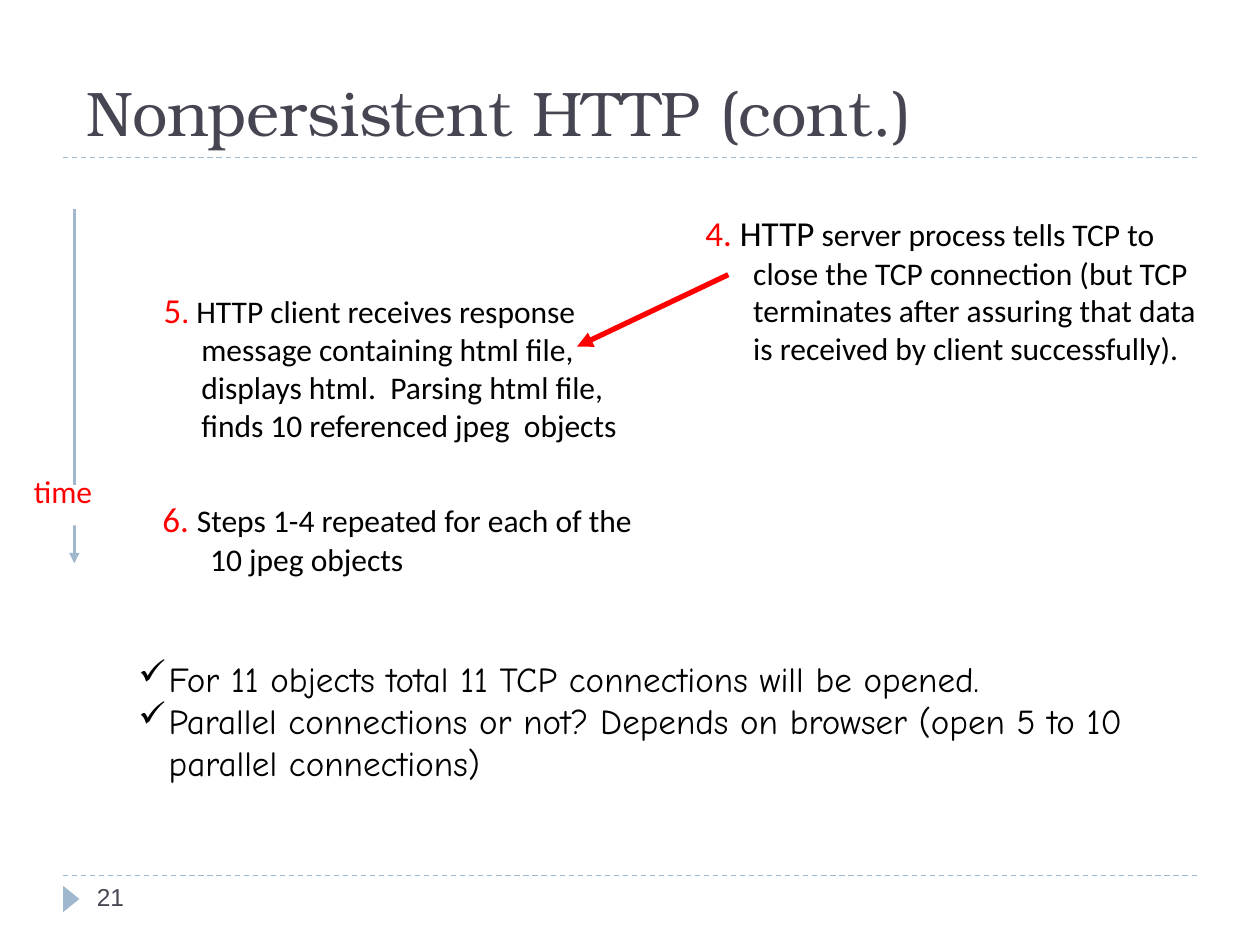
"""Build the slide on nonpersistent HTTP connections."""
from lxml import etree
from pptx import Presentation
from pptx import util as u
from pptx.dml.color import RGBColor
from pptx.enum import dml, shapes, text
from pptx.oxml import ns

PX = 9144
BLUE = RGBColor(0x9F, 0xB8, 0xCD)
SLATE = RGBColor(0x46, 0x46, 0x53)
RED = RGBColor(0xFF, 0, 0)
BLACK = RGBColor(0, 0, 0)
WHITE = RGBColor(0xFF, 0xFF, 0xFF)

deck = Presentation()
deck.slide_width, deck.slide_height = 1000 * PX, 750 * PX
slide = deck.slides.add_slide(deck.slide_layouts[5])


def add_line(ends, color, width, dashed=False, arrow=False):
    line = slide.shapes.add_connector(
        shapes.MSO_CONNECTOR.STRAIGHT, *[end * PX for end in ends])
    line.line.color.rgb = color
    line.line.width = u.Pt(width)
    if dashed:
        line.line.dash_style = dml.MSO_LINE.DASH
    if arrow:
        etree.SubElement(line.line._get_or_add_ln(), ns.qn("a:tailEnd"), type="triangle")
    etree.SubElement(line._element.spPr, ns.qn("a:effectLst"))


def write_runs(paragraph, runs, face):
    for words, size, color in runs:
        run = paragraph.add_run()
        run.text = words
        run.font.color.rgb = color
        for key, value in {"name": face, "size": u.Pt(size)}.items():
            setattr(run.font, key, value)


for rule_y in (695, 125):
    add_line((50, rule_y, 950, rule_y), BLUE, 0.75, dashed=True)
add_line((59, 166, 59, 447), BLUE, 1.5, arrow=True)

for preset, box, turn, color in (
    (shapes.MSO_SHAPE.ISOSCELES_TRIANGLE, (46, 707, 21, 13), 90, BLUE),
    (shapes.MSO_SHAPE.RECTANGLE, (33, 385, 37, 32), 0, WHITE),
):
    patch = slide.shapes.add_shape(preset, *[side * PX for side in box])
    patch.rotation = turn
    patch.shadow.inherit = False
    patch.fill.solid()
    patch.fill.fore_color.rgb = color
    patch.line.fill.background()

title = slide.shapes.title
for key, value in {"left": 59, "top": 28, "width": 850, "height": 95}.items():
    setattr(title, key, value * PX)
title.text_frame.vertical_anchor = text.MSO_ANCHOR.BOTTOM
heading = title.text_frame.paragraphs[0]
heading.alignment = text.PP_ALIGN.LEFT
write_runs(heading, [("Nonpersistent HTTP (cont.)", 36, SLATE)], "TeX Gyre Bonum")

labels = (
    ((67, 695, 217, 40), 0, "Arial", [("21", 14, SLATE)]),
    ((120, 224, 417, 168), 30, "Calibri", [
        ("5", 20, RED), (".", 18, RED),
        (" HTTP client receives response message containing html file, "
         "displays html.  Parsing html file, finds 10 referenced jpeg  objects", 18, BLACK)]),
    ((119, 390, 417, 73), 38, "Calibri", [
        ("6. ", 20, RED),
        ("Steps 1-4 repeated for each of the 10 jpeg objects", 18, BLACK)]),
    ((550, 163, 417, 80), 38, "Calibri", [
        ("4.", 20, RED), (" HTTP", 20, BLACK),
        (" server process tells TCP to close the TCP connection (but TCP terminates "
         "after assuring that data is received by client successfully).", 18, BLACK)]),
)
for box, hang, face, runs in labels:
    frame = slide.shapes.add_textbox(*[side * PX for side in box]).text_frame
    frame.word_wrap = True
    step = frame.paragraphs[0]
    step._p.get_or_add_pPr().set("marL", str(hang * PX))
    step._p.get_or_add_pPr().set("indent", str(-hang * PX))
    write_runs(step, runs, face)

time_frame = slide.shapes.add_textbox(17 * PX, 370 * PX, 66 * PX, 40 * PX).text_frame
time_frame.word_wrap = False
time_frame.paragraphs[0].alignment = text.PP_ALIGN.CENTER
write_runs(time_frame.paragraphs[0], [("time", 18, RED)], "Calibri")

add_line((578, 218, 458, 275), RED, 3, arrow=True)

summary = slide.shapes.add_textbox(100 * PX, 517 * PX, 875 * PX, 110 * PX).text_frame
summary.word_wrap = True
points = (
    "For 11 objects total 11 TCP connections will be opened.",
    "Parallel connections or not? Depends on browser (open 5 to 10 parallel connections)",
)
for index, words in enumerate(points):
    point = summary.add_paragraph() if index else summary.paragraphs[0]
    props = point._p.get_or_add_pPr()
    props.set("marL", str(24 * PX))
    props.set("indent", str(-24 * PX))
    etree.SubElement(props, ns.qn("a:buChar"), char="✓")
    write_runs(point, [(words, 20, BLACK)], "Comic Neue")

deck.save("out.pptx")
